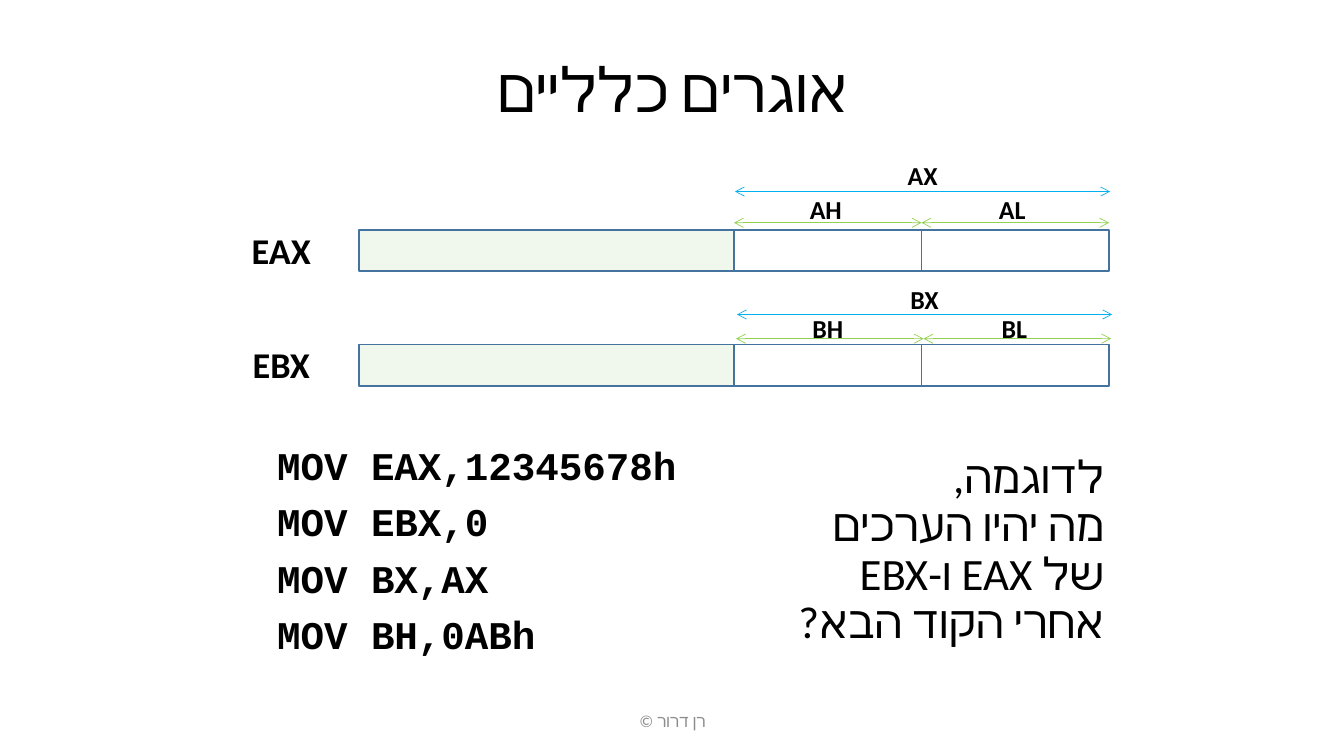
from lxml import etree
from pptx import Presentation
from pptx.dml.color import RGBColor
from pptx.enum.shapes import MSO_CONNECTOR, MSO_SHAPE
from pptx.enum.text import MSO_ANCHOR, PP_ALIGN
from pptx.oxml.ns import qn
from pptx.util import Inches, Pt

LEFT, CENTER, RIGHT = PP_ALIGN.LEFT, PP_ALIGN.CENTER, PP_ALIGN.RIGHT
TOP, MIDDLE = MSO_ANCHOR.TOP, MSO_ANCHOR.MIDDLE
RECTANGLE = MSO_SHAPE.RECTANGLE
STRAIGHT = MSO_CONNECTOR.STRAIGHT

COLORS = {
    "text": "000000",
    "footer": "8C8C8C",
    "outline": "43739E",
    "upper": "EAF4E4",
    "word": "00B0F0",
    "byte": "92D050",
}

BAR_LEFT, BAR_HEIGHT = 3.56, 0.41
WORD_LEFT, BYTE_WIDTH = 7.28, 1.86
WORD_WIDTH = 2 * BYTE_WIDTH
LABEL_WIDTH, LABEL_HEIGHT = 0.8, 0.34

REGISTERS = [
    {"letter": "A", "bar": 2.28, "shift": 0,
     "word_arrow": 1.9, "word_label": 1.62, "byte_arrow": 2.21, "byte_label": 1.96},
    {"letter": "B", "bar": 3.42, "shift": 0.02,
     "word_arrow": 3.12, "word_label": 2.85, "byte_arrow": 3.36, "byte_label": 3.14},
]

PARTS = [
    ("X", "word", 7.29, WORD_WIDTH, 8.75),
    ("H", "byte", WORD_LEFT, BYTE_WIDTH, 7.79),
    ("L", "byte", WORD_LEFT + BYTE_WIDTH, BYTE_WIDTH, 9.64),
]


class RegisterSlide:
    """Draws styled elements on the current slide."""

    def __init__(self, slide, font="Calibri"):
        self.slide = slide
        self.font = font

    def color(self, name):
        return RGBColor.from_string(COLORS[name])

    def text(self, text, left, top, width, height, size, align=CENTER, anchor=TOP,
             color="text", bold=False, font=None, right_to_left=True,
             line_spacing=0.9, space_before=10, wrap=True):
        font = font or self.font
        box = self.slide.shapes.add_textbox(
            Inches(left), Inches(top), Inches(width), Inches(height))
        frame = box.text_frame
        frame.text = text
        frame.word_wrap = wrap
        frame.vertical_anchor = anchor
        for paragraph in frame.paragraphs:
            paragraph.alignment = align
            paragraph.line_spacing = line_spacing
            paragraph.space_before = Pt(space_before)
            if right_to_left:
                paragraph._p.get_or_add_pPr().set("rtl", "1")
            for run in paragraph.runs:
                run.font.name = font
                run.font.size = Pt(size)
                run.font.bold = bold
                run.font.color.rgb = self.color(color)
                complex_font = etree.SubElement(run._r.get_or_add_rPr(), qn("a:cs"))
                complex_font.set("typeface", font)

    def label(self, text, left, top, height, size, line_spacing):
        self.text(text, left, top, LABEL_WIDTH, height, size, bold=True,
                  line_spacing=line_spacing, wrap=False)

    def cell(self, left, top, width, fill=None, opacity=70):
        shape = self.slide.shapes.add_shape(
            RECTANGLE, Inches(left), Inches(top), Inches(width), Inches(BAR_HEIGHT))
        shape.shadow.inherit = False
        shape.line.color.rgb = self.color("outline")
        shape.line.width = Pt(1)
        if fill is None:
            shape.fill.background()
            return
        shape.fill.solid()
        shape.fill.fore_color.rgb = self.color(fill)
        fill_color = shape._element.spPr.find(qn("a:solidFill"))[0]
        etree.SubElement(fill_color, qn("a:alpha")).set("val", str(opacity * 1000))

    def double_arrow(self, left, top, width, color):
        connector = self.slide.shapes.add_connector(
            STRAIGHT, Inches(left), Inches(top), Inches(left + width), Inches(top))
        connector.line.color.rgb = self.color(color)
        connector.line.width = Pt(0.5)
        line = connector.line._get_or_add_ln()
        for end in ("a:headEnd", "a:tailEnd"):
            etree.SubElement(line, qn(end)).set("type", "arrow")
        etree.SubElement(connector._element.spPr, qn("a:effectLst"))

    def register(self, row):
        self.cell(WORD_LEFT, row["bar"], BYTE_WIDTH)
        self.cell(WORD_LEFT + BYTE_WIDTH, row["bar"], BYTE_WIDTH)
        self.cell(BAR_LEFT, row["bar"], WORD_WIDTH, fill="upper")
        self.label(f"E{row['letter']}X", 2.39, row["bar"] - 0.02, 0.56, 25.9, 0.9)
        for suffix, kind, left, width, label_left in PARTS:
            self.label(row["letter"] + suffix, label_left + row["shift"],
                       row[f"{kind}_label"], LABEL_HEIGHT, 18.5, 0.7)
            self.double_arrow(left + row["shift"], row[f"{kind}_arrow"], width, kind)


def main():
    presentation = Presentation()
    presentation.slide_width = Inches(13.33)
    presentation.slide_height = Inches(7.5)
    page = RegisterSlide(presentation.slides.add_slide(presentation.slide_layouts[6]))

    page.text("אוגרים כלליים", 0.92, 0.19, 11.5, 1.45, 44, anchor=MIDDLE, space_before=0)
    page.text("רן דרור ©", 4.42, 6.95, 4.5, 0.4, 12, anchor=MIDDLE, color="footer",
              line_spacing=1, space_before=0)
    page.text("MOV EAX,12345678h\nMOV EBX,0\nMOV BX,AX\nMOV BH,0ABh",
              2.65, 4.38, 6.76, 2.29, 28, align=LEFT, bold=True,
              font="Courier New", right_to_left=False)
    page.text("לדוגמה,\vמה יהיו הערכים\vשל EAX ו-EBX\vאחרי הקוד הבא?",
              7.79, 4.46, 3.26, 2.1, 32, align=RIGHT)
    for row in REGISTERS:
        page.register(row)

    presentation.save("out.pptx")


if __name__ == "__main__":
    main()
